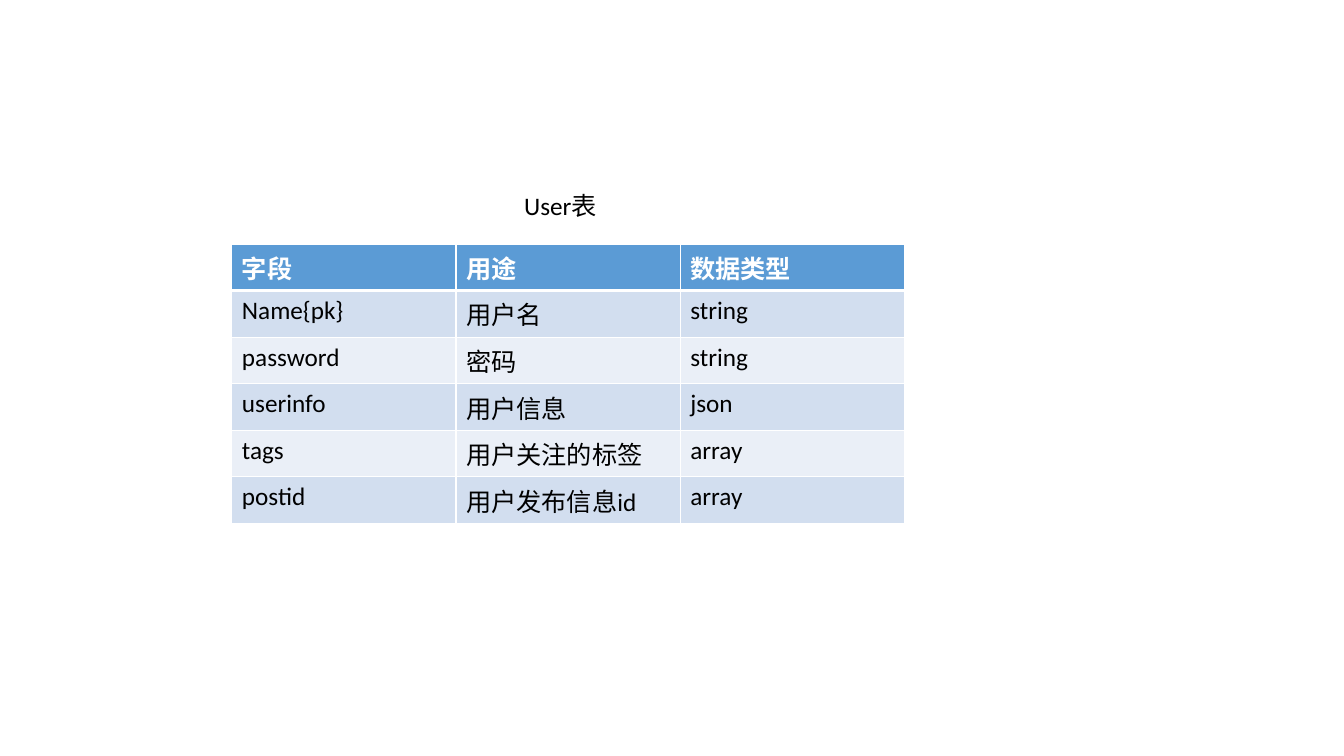
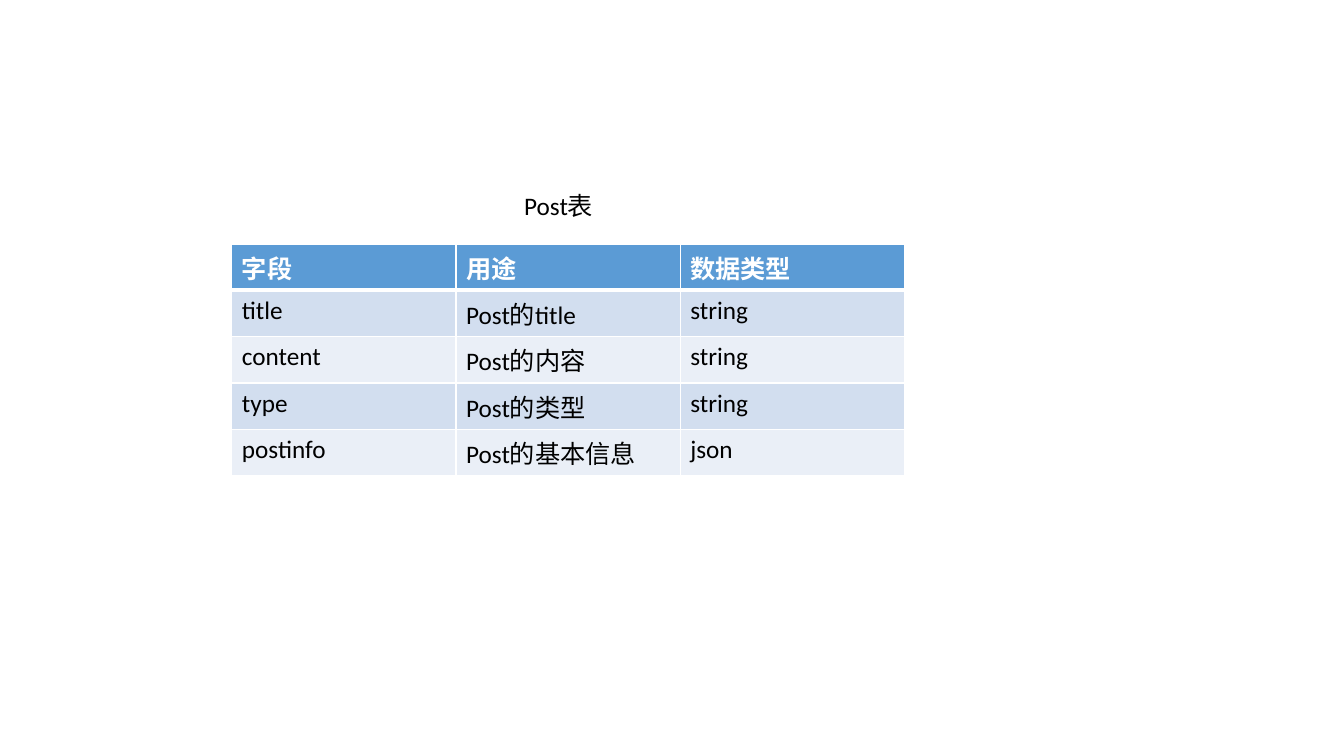
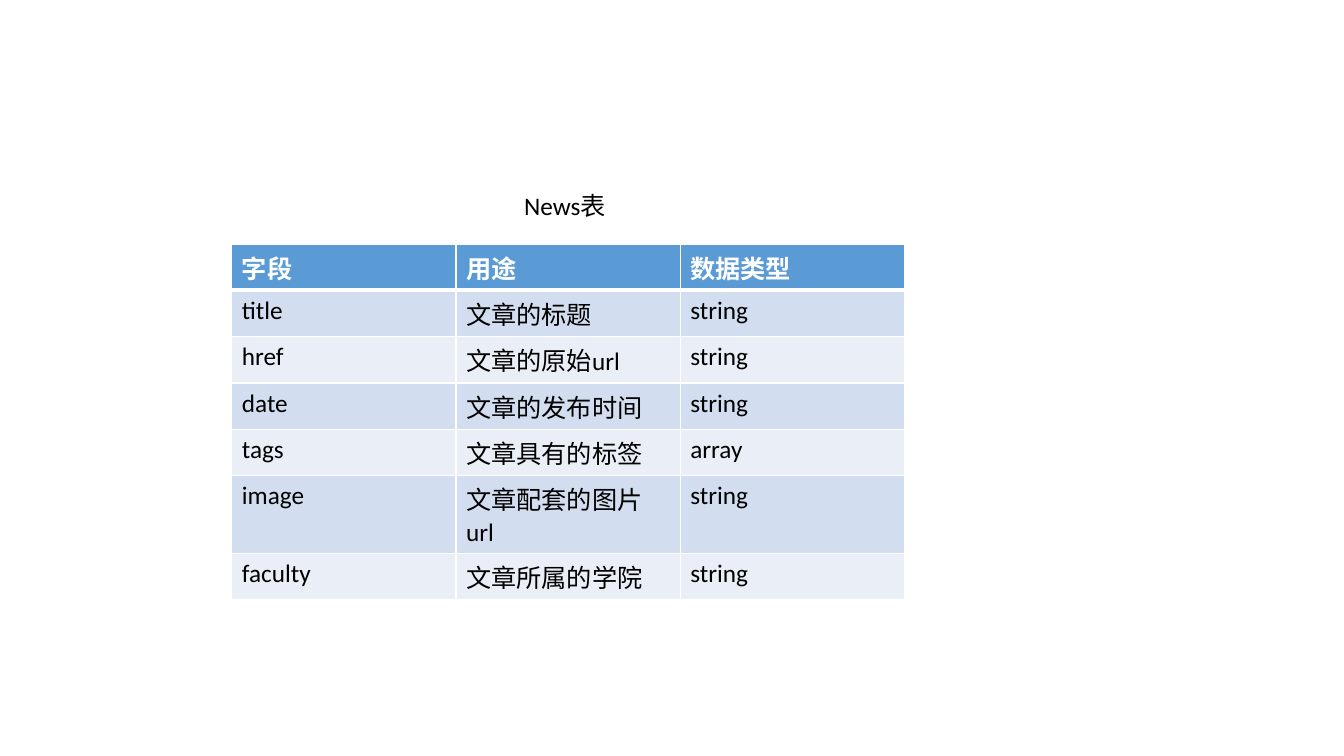
from dataclasses import dataclass

from lxml.etree import SubElement
from pptx import Presentation
from pptx.dml.color import RGBColor
from pptx.enum.text import MSO_AUTO_SIZE
from pptx.oxml.ns import qn
from pptx.util import Inches, Pt


@dataclass(frozen=True)
class Theme:
    font: str = "Calibri"
    size: int = 18
    text: str = "000000"
    header_text: str = "FFFFFF"
    header_fill: str = "5B9BD5"
    band_fills: tuple = ("D2DEEF", "EAEFF7")
    border: str = "FFFFFF"
    thin: int = 1
    thick: int = 3


theme = Theme()
row_height = Inches(0.46)
two_line_height = Inches(0.77)

# Content: caption and field rows of each table
header = ("字段", "用途", "数据类型")
schemas = {
    "User表": [
        ("Name{pk}", "用户名", "string"),
        ("password", "密码", "string"),
        ("userinfo", "用户信息", "json"),
        ("tags", "用户关注的标签", "array"),
        ("postid", "用户发布信息id", "array"),
    ],
    "Post表": [
        ("title", "Post的title", "string"),
        ("content", "Post的内容", "string"),
        ("type", "Post的类型", "string"),
        ("postinfo", "Post的基本信息", "json"),
    ],
    "News表": [
        ("title", "文章的标题", "string"),
        ("href", "文章的原始url", "string"),
        ("date", "文章的发布时间", "string"),
        ("tags", "文章具有的标签", "array"),
        ("image", "文章配套的图片url", "string"),
        ("faculty", "文章所属的学院", "string"),
    ],
}
two_line_fields = {"image"}


def add_text(frame, text, color, bold=False):
    span = frame.paragraphs[0].add_run()
    span.text = text
    span.font.name = theme.font
    span.font.size = Pt(theme.size)
    span.font.bold = bold
    span.font.color.rgb = RGBColor.from_string(color)


def add_borders(cell, row_number):
    # The rule between the header and the body is thick
    thick_side = {0: "B", 1: "T"}.get(row_number)
    properties = cell._tc.get_or_add_tcPr()
    for side in "LRTB":
        width = theme.thick if side == thick_side else theme.thin
        line = SubElement(properties, qn(f"a:ln{side}"), w=str(Pt(width)))
        fill = SubElement(line, qn("a:solidFill"))
        SubElement(fill, qn("a:srgbClr"), val=theme.border)


deck = Presentation()
deck.slide_width, deck.slide_height = Inches(13.33), Inches(7.5)
blank = deck.slide_layouts[6]

for caption, fields in schemas.items():
    page = deck.slides.add_slide(blank)

    # Table with a header and alternating bands
    rows = [header, *fields]
    table = page.shapes.add_table(
        len(rows), len(header), Inches(2.3), Inches(2.42),
        Inches(6.67), row_height * len(rows),
    ).table
    for row_number, row in enumerate(rows):
        is_header = row_number == 0
        fill = theme.header_fill if is_header else theme.band_fills[(row_number - 1) % 2]
        color = theme.header_text if is_header else theme.text
        table.rows[row_number].height = two_line_height if row[0] in two_line_fields else row_height
        for column_number, text in enumerate(row):
            cell = table.cell(row_number, column_number)
            add_borders(cell, row_number)
            cell.fill.solid()
            cell.fill.fore_color.rgb = RGBColor.from_string(fill)
            add_text(cell.text_frame, text, color, bold=is_header)

    # Caption above the table
    box = page.shapes.add_textbox(Inches(5.1), Inches(1.84), Inches(3.75), Inches(0.4))
    box.text_frame.word_wrap = True
    box.text_frame.auto_size = MSO_AUTO_SIZE.SHAPE_TO_FIT_TEXT
    add_text(box.text_frame, caption, theme.text)

deck.save("out.pptx")
